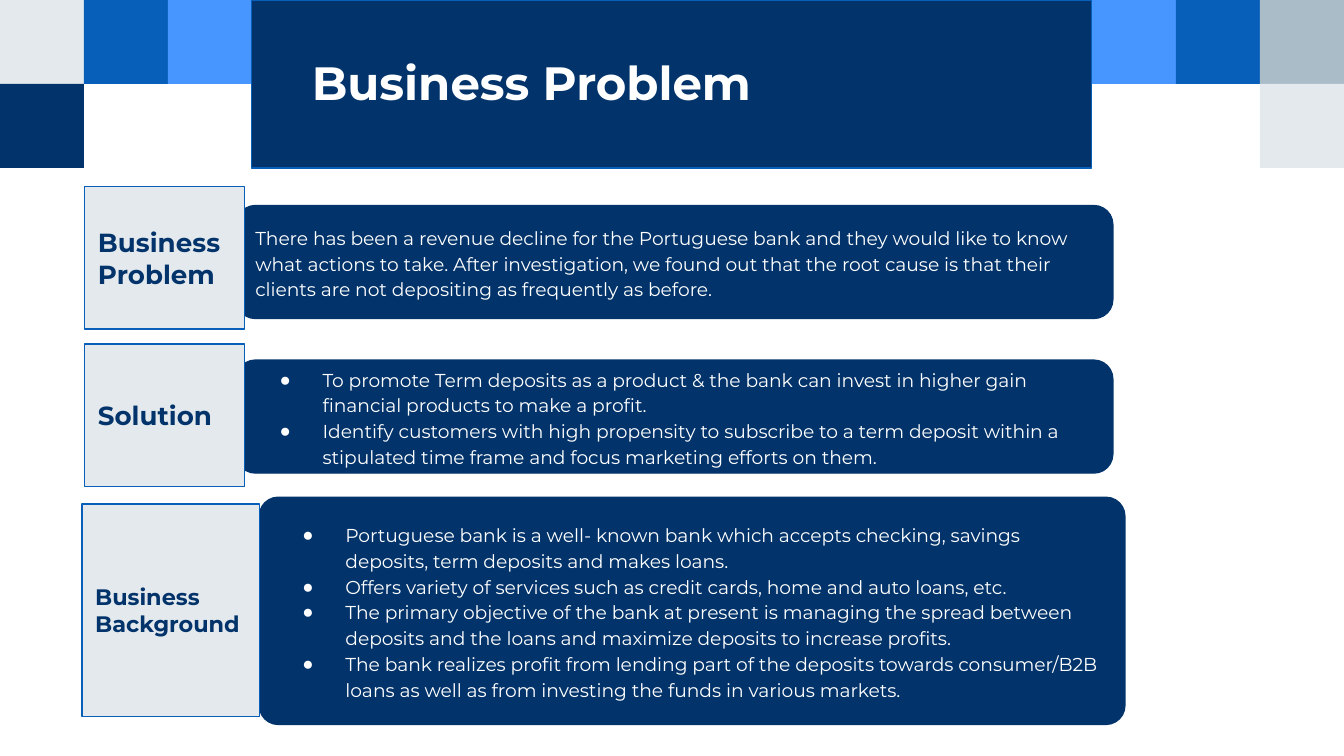
from lxml import etree
from pptx import Presentation
from pptx import util as u
from pptx.dml.color import RGBColor
from pptx.enum import shapes, text
from pptx.oxml.ns import qn

HUES = {"navy": "02336A", "blue": "085FBA", "sky": "4796FF",
        "pale": "E3E9ED", "grey": "ABBCC9", "white": "FFFFFF"}
FONT = "Montserrat"
UNIT = 10 / 16  # side of a corner square

# column, row, colour
TILES = [(0, 0, "pale"), (1, 0, "blue"), (2, 0, "sky"), (0, 1, "navy"),
         (13, 0, "sky"), (14, 0, "blue"), (15, 0, "grey"), (15, 1, "pale")]

REASON = ("There has been a revenue decline for the Portuguese bank and they would like "
          "to know what actions to take. After investigation, we found out that the root "
          "cause is that their clients are not depositing as frequently as before.")
PLAN = [
    "To promote Term deposits as a product & the bank can invest in higher gain "
    "financial products to make a profit.",
    "Identify customers with high propensity to subscribe to a term deposit within a "
    "stipulated time frame and focus marketing efforts on them.",
]
FACTS = [
    "Portuguese bank is a well- known bank which accepts checking, savings deposits, "
    "term deposits and makes loans.",
    "Offers variety of services such as credit cards, home and auto loans, etc.",
    "The primary objective of the bank at present is managing the spread between "
    "deposits and the loans and maximize deposits to increase profits.",
    "The bank realizes profit from lending part of the deposits towards consumer/B2B "
    "loans as well as from investing the funds in various markets.",
]


def tint(name):
    return RGBColor.from_string(HUES[name])


class Deck:
    """Holds the style and the current slide."""

    def __init__(self):
        self.prs = Presentation()
        self.prs.slide_width = u.Inches(10)
        self.prs.slide_height = u.Inches(9 * UNIT)
        self.slide = self.prs.slides.add_slide(self.prs.slide_layouts[3])

    def place(self, shape, box):
        shape.left, shape.top, shape.width, shape.height = map(u.Inches, box)

    def raise_up(self, shape):
        """Bring a placeholder in front of everything drawn so far."""
        shape.element.getparent().append(shape.element)

    def frame(self, shape, anchor, side=0.1, edge=0.1):
        body = shape.text_frame
        body.word_wrap = True
        body.auto_size = text.MSO_AUTO_SIZE.NONE
        body.vertical_anchor = anchor
        body.margin_left = body.margin_right = u.Inches(side)
        body.margin_top = body.margin_bottom = u.Inches(edge)
        return body

    def style(self, para, size, hue, bold=False):
        para.alignment = text.PP_ALIGN.LEFT
        for run in para.runs:
            font = run.font
            font.name, font.size, font.bold = FONT, u.Pt(size), bold
            font.color.rgb = tint(hue)

    def block(self, box, fill, line=None, kind=shapes.MSO_SHAPE.RECTANGLE):
        shape = self.slide.shapes.add_shape(kind, *map(u.Inches, box))
        shape.shadow.inherit = False
        shape.fill.solid()
        shape.fill.fore_color.rgb = tint(fill)
        if line:
            shape.line.color.rgb = tint(line)
            shape.line.width = u.Pt(0.75)
        else:
            shape.line.fill.background()
        return shape

    def tile(self, col, row, hue):
        self.block((col * UNIT, row * UNIT, UNIT, UNIT), hue)

    def title(self, box, words):
        shape = self.slide.shapes.title
        self.place(shape, box)
        self.raise_up(shape)
        body = self.frame(shape, text.MSO_ANCHOR.TOP)
        body.text = words
        self.style(body.paragraphs[0], 25, "white", True)

    def card(self, box):
        shape = self.block(box, "navy", "navy", shapes.MSO_SHAPE.ROUNDED_RECTANGLE)
        shape.adjustments[0] = 0.14 / box[3]
        return shape

    def label(self, box, words, size):
        shape = self.block(box, "pale", "blue")
        body = self.frame(shape, text.MSO_ANCHOR.MIDDLE)
        body.text = words
        self.style(body.paragraphs[0], size, "navy", True)

    def note(self, box, words):
        body = self.frame(self.card(box), text.MSO_ANCHOR.MIDDLE)
        body.text = words
        body.paragraphs[0].line_spacing = 1.15
        self.style(body.paragraphs[0], 10, "white")

    def bullet(self, para):
        props = para._p.get_or_add_pPr()
        props.set("marL", str(u.Inches(0.5)))
        props.set("indent", str(u.Inches(-0.32)))
        hue = etree.SubElement(props, qn("a:buClr"))
        etree.SubElement(hue, qn("a:srgbClr"), val=HUES["white"])
        etree.SubElement(props, qn("a:buFont"), typeface="Arial")
        etree.SubElement(props, qn("a:buChar"), char="●")

    def points(self, box, items, slot):
        """Lay a body placeholder over a card and fill it with bullets."""
        self.card(box)
        shape = self.slide.placeholders[slot]
        self.place(shape, box)
        self.raise_up(shape)
        body = self.frame(shape, text.MSO_ANCHOR.MIDDLE, side=0.14, edge=0)
        body.text = "\n".join(items)
        for para in body.paragraphs:
            self.bullet(para)
            para.line_spacing = 1.15
            para.space_before = u.Pt(0)
            self.style(para, 10, "white")


def main():
    deck = Deck()
    for spot in TILES:
        deck.tile(*spot)
    deck.block((1.87, 0, 6.25, 1.25), "navy", "blue")
    deck.title((2.22, 0.3, 5.81, 0.66), "Business Problem")

    deck.note((1.76, 1.53, 6.52, 0.84), REASON)
    deck.label((0.63, 1.39, 1.19, 1.06), "Business Problem", 14)
    deck.points((1.76, 2.68, 6.52, 0.84), PLAN, 1)
    deck.label((0.63, 2.56, 1.19, 1.06), "Solution", 14)
    deck.points((1.93, 3.7, 6.44, 1.69), FACTS, 2)
    deck.label((0.61, 3.75, 1.32, 1.58), "Business Background", 12)
    deck.prs.save("out.pptx")


if __name__ == "__main__":
    main()
